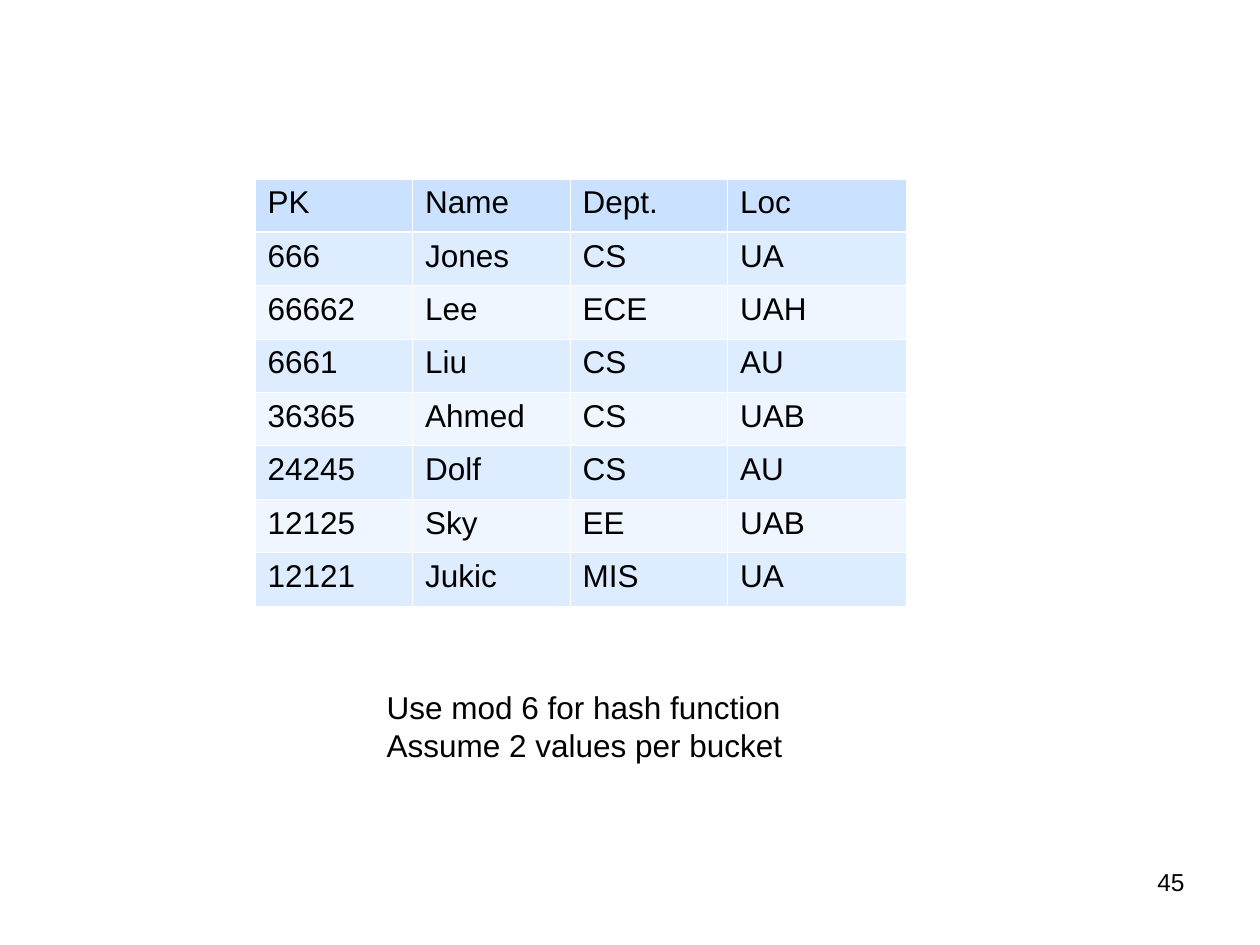
import dataclasses
import typing

import lxml.etree
import pptx
import pptx.dml.color
import pptx.enum.text
import pptx.oxml.ns
import pptx.util

ALIGN = pptx.enum.text.PP_ALIGN


@dataclasses.dataclass(frozen=True)
class Theme:
    font: str = "Arial"
    ink: str = "000000"
    line: str = "FFFFFF"
    head: str = "CAE2FF"
    bands: tuple = ("DEECFF", "EFF6FF")
    body: int = 18
    small: int = 14
    thin: float = 0.45
    thick: float = 1.47


@dataclasses.dataclass(frozen=True)
class Box:
    """Place and size in percent of the slide."""
    left: float
    top: float
    width: float
    height: float


@dataclasses.dataclass(frozen=True)
class Note:
    box: Box
    lines: tuple
    size: int
    align: typing.Any = ALIGN.LEFT
    wrap: bool = True


THEME = Theme()
WIDTH, HEIGHT = pptx.util.Inches(10), pptx.util.Inches(7.5)

GRID = Box(20.24, 18.93, 51.7, 45.2)
SHARES = (1.25, 1.25, 1.25, 1.42)
ROWS = (
    ("PK", "Name", "Dept.", "Loc"),
    ("666", "Jones", "CS", "UA"),
    ("66662", "Lee", "ECE", "UAH"),
    ("6661", "Liu", "CS", "AU"),
    ("36365", "Ahmed", "CS", "UAB"),
    ("24245", "Dolf", "CS", "AU"),
    ("12125", "Sky", "EE", "UAB"),
    ("12121", "Jukic", "MIS", "UA"),
)
PAGE = Note(Box(71.7, 91.07, 23.3, 6.93), ("45",), THEME.small, ALIGN.RIGHT)
HINT = Note(Box(29.7, 72.13, 33.4, 9.33),
            ("Use mod 6 for hash function", "Assume 2 values per bucket"),
            THEME.body, wrap=False)


def place(box: Box) -> tuple:
    """Turn shares into slide lengths."""
    return (int(WIDTH * box.left / 100), int(HEIGHT * box.top / 100),
            int(WIDTH * box.width / 100), int(HEIGHT * box.height / 100))


def color(code: str) -> pptx.dml.color.RGBColor:
    return pptx.dml.color.RGBColor.from_string(code)


def write(frame: typing.Any, lines: tuple, size: int,
          align: typing.Any = ALIGN.LEFT) -> None:
    """Fill a text frame, one paragraph a line."""
    frame.text = "\n".join(lines)
    style = {"name": THEME.font, "size": pptx.util.Pt(size)}
    for para in frame.paragraphs:
        para.alignment = align
        for run in para.runs:
            for key, value in style.items():
                setattr(run.font, key, value)
            run.font.color.rgb = color(THEME.ink)


def edge(cell: typing.Any, side: str, width: float) -> None:
    """Draw one border of a cell."""
    name = pptx.oxml.ns.qn
    props = cell._tc.get_or_add_tcPr()
    line = lxml.etree.SubElement(props, name(f"a:ln{side}"),
                                 w=str(int(pptx.util.Pt(width))))
    fill = lxml.etree.SubElement(line, name("a:solidFill"))
    lxml.etree.SubElement(fill, name("a:srgbClr"), val=THEME.line)


def draw_note(slide: typing.Any, note: Note) -> None:
    frame = slide.shapes.add_textbox(*place(note.box)).text_frame
    frame.word_wrap = note.wrap
    if not note.wrap:
        frame.auto_size = pptx.enum.text.MSO_AUTO_SIZE.SHAPE_TO_FIT_TEXT
    write(frame, note.lines, note.size, note.align)


def draw_table(slide: typing.Any) -> None:
    area = place(GRID)
    table = slide.shapes.add_table(len(ROWS), len(SHARES), *area).table
    for col, share in zip(table.columns, SHARES):
        col.width = int(area[2] * share / sum(SHARES))
    for row in table.rows:
        row.height = area[3] // len(ROWS)
    for r, row in enumerate(ROWS):
        tint = THEME.bands[(r - 1) % 2] if r else THEME.head
        # A heavier rule parts the header from the body
        rules = {"L": THEME.thin, "R": THEME.thin,
                 "T": THEME.thick if r == 1 else THEME.thin,
                 "B": THEME.thick if r == 0 else THEME.thin}
        for c, text in enumerate(row):
            cell = table.cell(r, c)
            write(cell.text_frame, (text,), THEME.body)
            for side, width in rules.items():
                edge(cell, side, width)
            cell.fill.solid()
            cell.fill.fore_color.rgb = color(tint)


def main() -> None:
    deck = pptx.Presentation()
    deck.slide_width, deck.slide_height = WIDTH, HEIGHT
    slide = deck.slides.add_slide(deck.slide_layouts[6])
    # Page number, records, then the hashing rules
    draw_note(slide, PAGE)
    draw_table(slide)
    draw_note(slide, HINT)
    deck.save("out.pptx")


if __name__ == "__main__":
    main()
